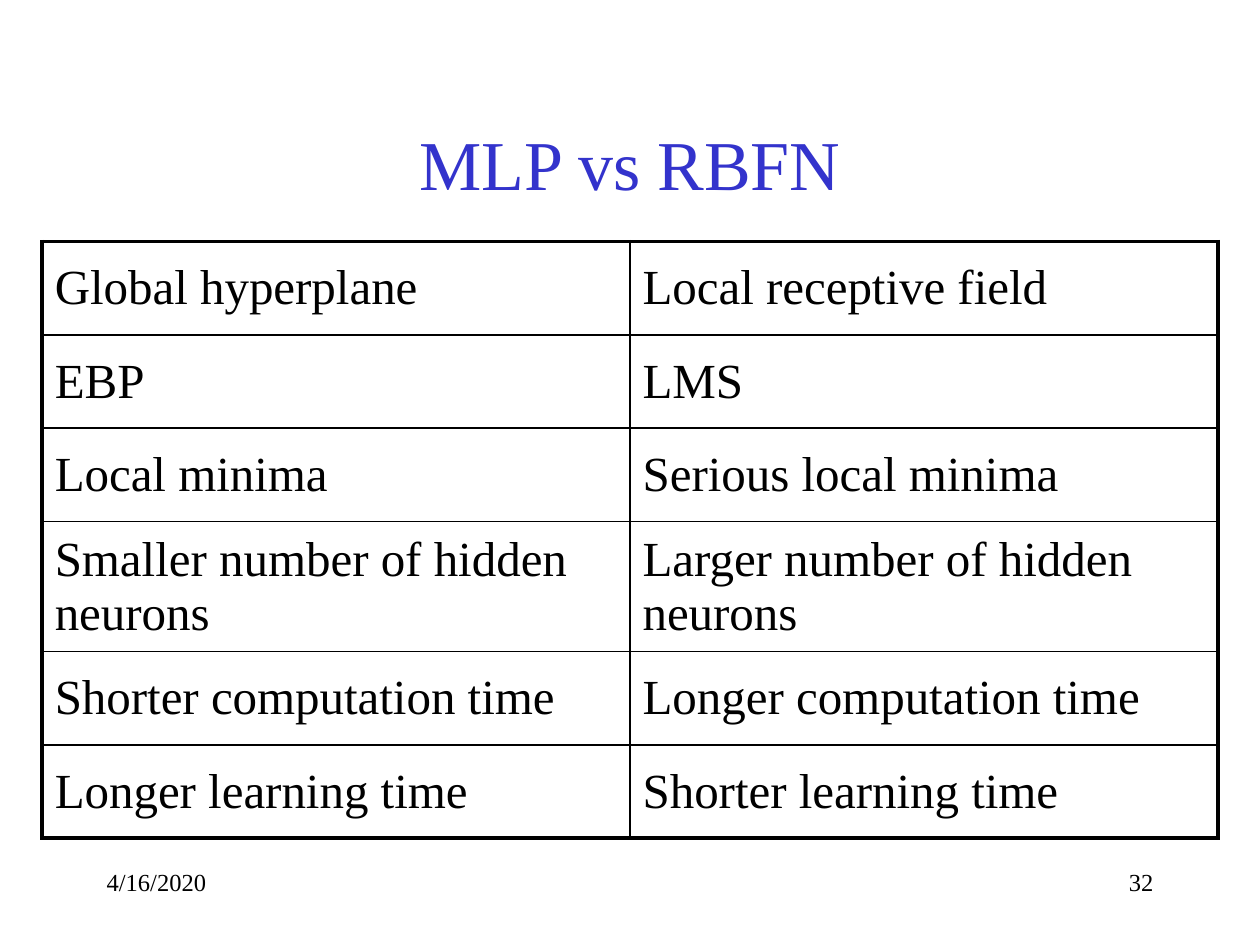
from dataclasses import dataclass

from lxml import etree
from pptx import Presentation
from pptx.dml.color import RGBColor
from pptx.enum.text import MSO_ANCHOR, PP_ALIGN
from pptx.oxml.ns import qn
from pptx.util import Cm, Pt

LEFT, CENTER, RIGHT = PP_ALIGN.LEFT, PP_ALIGN.CENTER, PP_ALIGN.RIGHT
TOP, MIDDLE = MSO_ANCHOR.TOP, MSO_ANCHOR.MIDDLE


@dataclass(frozen=True)
class Theme:
    font: str = "Times New Roman"
    title_color: str = "3333CC"
    text_color: str = "000000"
    title_size: int = 40
    cell_size: int = 28
    footer_size: int = 14
    outer_line: float = 2.25
    inner_line: float = 1


THEME = Theme()

ROWS = [
    ("Global hyperplane", "Local receptive field"),
    ("EBP", "LMS"),
    ("Local minima", "Serious local minima"),
    ("Smaller number of hidden neurons", "Larger number of hidden neurons"),
    ("Shorter computation time", "Longer computation time"),
    ("Longer learning time", "Shorter learning time"),
]
ROW_HEIGHT, TALL_ROW_HEIGHT = 1.88, 2.62
TALL_ROW = 3


def write(tf, text, size, color=THEME.text_color, align=LEFT):
    tf.text = text
    tf.word_wrap = True
    p = tf.paragraphs[0]
    p.alignment = align
    font = p.runs[0].font
    font.name, font.size = THEME.font, Pt(size)
    font.color.rgb = RGBColor.from_string(color)


def add_text(s, box, text, size, color=THEME.text_color, align=LEFT, anchor=TOP):
    sp = s.shapes.add_textbox(*(Cm(v) for v in box))
    write(sp.text_frame, text, size, color, align)
    sp.text_frame.vertical_anchor = anchor


def set_borders(cell, widths):
    """Draw left, right, top and bottom lines, given in points."""
    tc_pr = cell._tc.get_or_add_tcPr()
    for i, (side, width) in enumerate(zip("LRTB", widths)):
        ln = etree.Element(qn(f"a:ln{side}"), w=str(Pt(width)))
        fill = etree.SubElement(ln, qn("a:solidFill"))
        etree.SubElement(fill, qn("a:srgbClr"), val=THEME.text_color)
        tc_pr.insert(i, ln)


def add_comparison(s, left, top, width):
    n_rows, n_cols = len(ROWS), len(ROWS[0])
    heights = [TALL_ROW_HEIGHT if i == TALL_ROW else ROW_HEIGHT
               for i in range(n_rows)]
    table = s.shapes.add_table(n_rows, n_cols, Cm(left), Cm(top),
                               Cm(width), Cm(sum(heights))).table
    table.first_row = table.horz_banding = False
    for i, texts in enumerate(ROWS):
        table.rows[i].height = Cm(heights[i])
        for j, text in enumerate(texts):
            cell = table.cell(i, j)
            write(cell.text_frame, text, THEME.cell_size)
            cell.vertical_anchor = MIDDLE
            cell.fill.background()
            # Heavy frame around the table, thin lines inside
            at_edge = (j == 0, j == n_cols - 1, i == 0, i == n_rows - 1)
            set_borders(cell, [THEME.outer_line if edge else THEME.inner_line
                               for edge in at_edge])


def main():
    prs = Presentation()
    prs.slide_width, prs.slide_height = Cm(25.4), Cm(19.05)
    s = prs.slides.add_slide(prs.slide_layouts[6])

    # Title
    add_text(s, (1.9, 1.7, 21.6, 3.17), "MLP vs RBFN", THEME.title_size,
             THEME.title_color, CENTER, MIDDLE)

    # Comparison table
    add_comparison(s, 0.85, 4.87, 23.7)

    # Date and slide number
    add_text(s, (1.9, 17.35, 5.3, 1.27), "4/16/2020", THEME.footer_size)
    add_text(s, (18.2, 17.35, 5.3, 1.27), "32", THEME.footer_size, align=RIGHT)

    prs.save("out.pptx")


if __name__ == "__main__":
    main()
